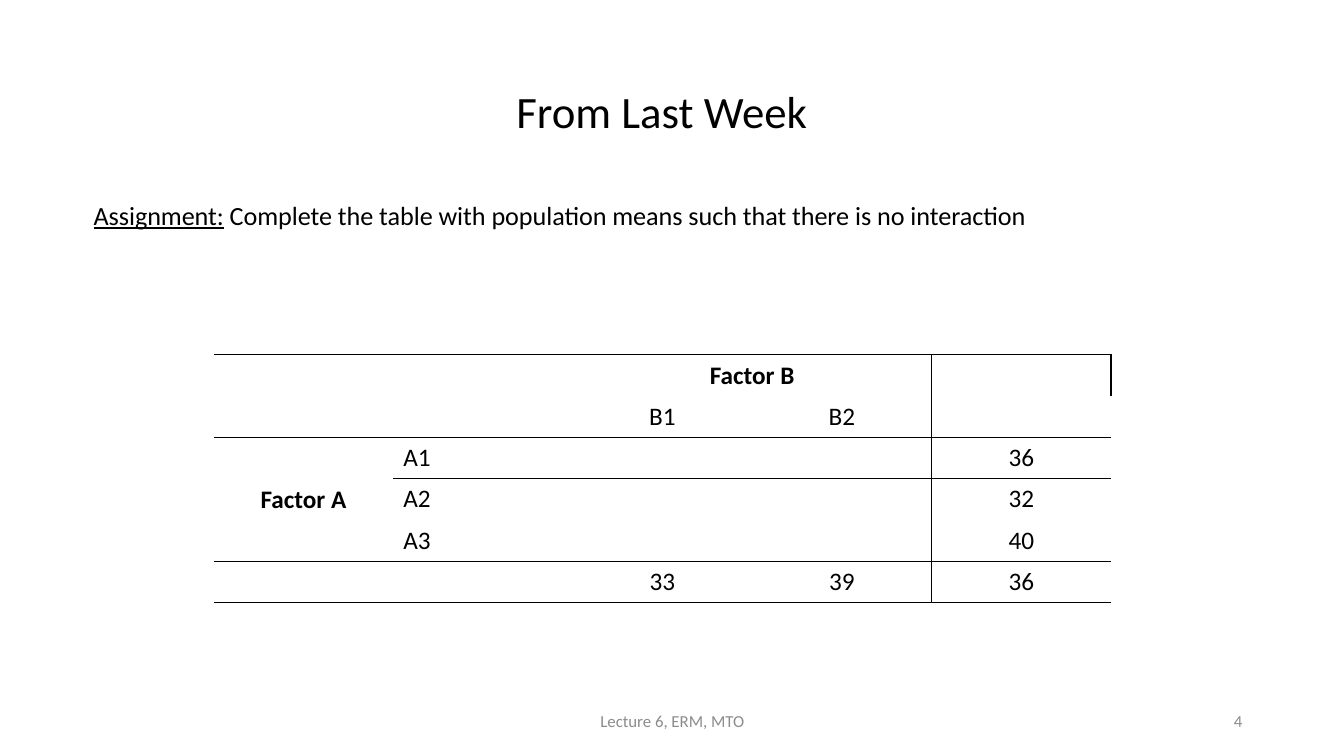
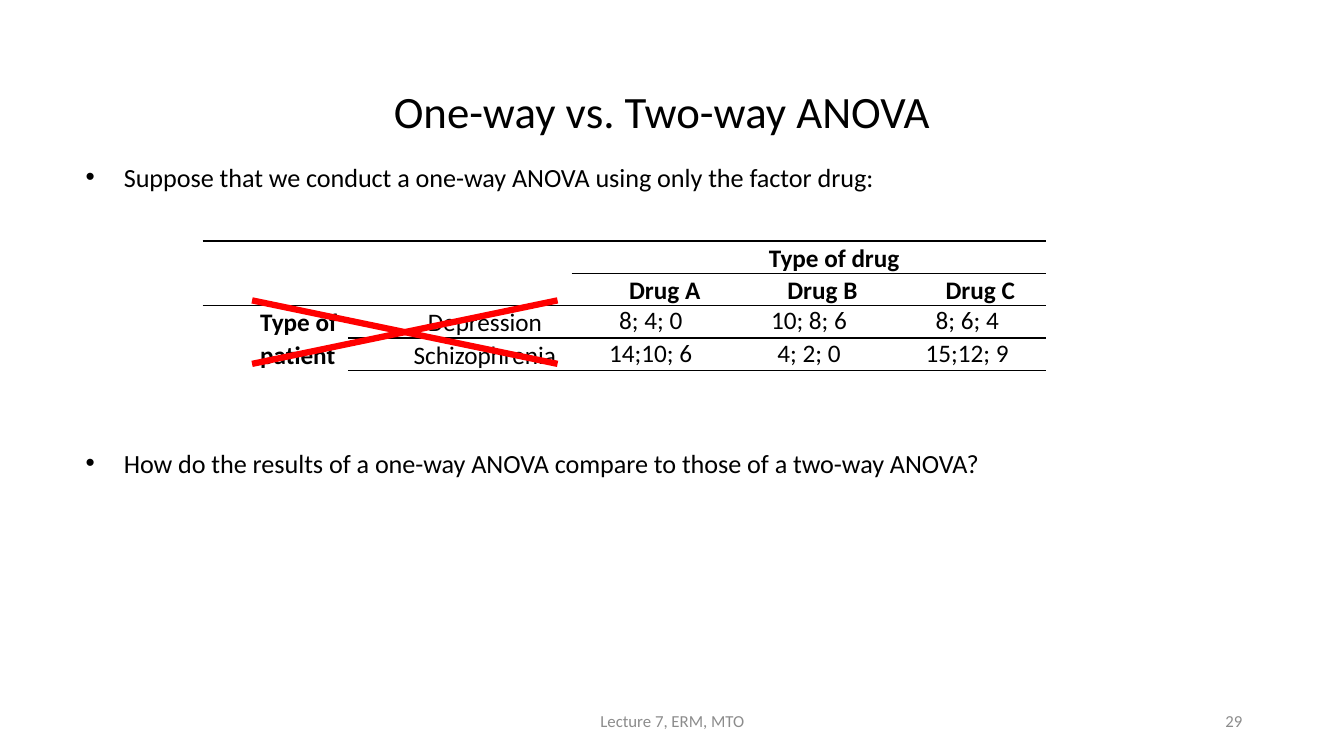
from lxml.etree import SubElement
from pptx import Presentation
from pptx.dml.color import RGBColor
from pptx.enum.shapes import MSO_CONNECTOR
from pptx.enum.text import MSO_ANCHOR, PP_ALIGN
from pptx.oxml.ns import qn
from pptx.util import Inches, Pt


class Theme:
    font = "Calibri"
    ink = RGBColor(0x00, 0x00, 0x00)
    muted = RGBColor(0x8C, 0x8C, 0x8C)
    cross = RGBColor(0xFF, 0x00, 0x00)
    title = Pt(32)
    body = Pt(18.67)
    cell = Pt(18)
    footer = Pt(12)
    rule = Pt(1)
    cross_width = Pt(4.5)
    plain_table = "{2D5ABB26-0587-4C30-8999-92F81FD0307C}"


def add_box(slide, left, top, width, height, anchor=MSO_ANCHOR.TOP):
    sp = slide.shapes.add_textbox(Inches(left), Inches(top), Inches(width), Inches(height))
    tf = sp.text_frame
    tf.word_wrap = True
    tf.vertical_anchor = anchor
    return tf


def add_run(p, text, size, color=Theme.ink, bold=False, underline=False):
    r = p.add_run()
    r.text = text
    r.font.name = Theme.font
    r.font.size = size
    r.font.color.rgb = color
    r.font.bold = bold
    r.font.underline = underline


prs = Presentation()
prs.slide_width = Inches(13.33)
prs.slide_height = Inches(7.5)

for title, footer, number in [
    ("From Last Week", "Lecture 6, ERM, MTO", "4"),
    ("One-way vs. Two-way ANOVA", "Lecture 7, ERM, MTO", "29"),
]:
    s = prs.slides.add_slide(prs.slide_layouts[6])
    for text, place, align, size, color in [
        (title, (0.71, 0.72, 11.71, 0.83), PP_ALIGN.CENTER, Theme.title, Theme.ink),
        (footer, (4.42, 6.95, 4.5, 0.4), PP_ALIGN.CENTER, Theme.footer, Theme.muted),
        (number, (9.42, 6.95, 3, 0.4), PP_ALIGN.RIGHT, Theme.footer, Theme.muted),
    ]:
        p = add_box(s, *place, MSO_ANCHOR.MIDDLE).paragraphs[0]
        p.alignment = align
        if size == Theme.title:
            p.line_spacing = 0.9
        add_run(p, text, size, color)

week_slide, anova_slide = prs.slides

p = add_box(week_slide, 0.83, 1.93, 11, 0.5).paragraphs[0]
add_run(p, "Assignment:", Theme.body, underline=True)
add_run(p, " Complete the table with population means such that there is no interaction", Theme.body)

tf = add_box(anova_slide, 0.75, 1.55, 11.83, 3.3)
for i, (text, gap) in enumerate([
    ("Suppose that we conduct a one-way ANOVA using only the factor drug:", 0),
    ("How do the results of a one-way ANOVA compare to those of a two-way ANOVA?", 182),
]):
    p = tf.add_paragraph() if i else tf.paragraphs[0]
    p.space_before = Pt(gap)
    pPr = p._p.get_or_add_pPr()
    pPr.set("marL", str(Inches(0.38)))
    pPr.set("indent", str(-Inches(0.38)))
    SubElement(pPr, qn("a:buFont"), typeface="Arial")
    SubElement(pPr, qn("a:buChar"), char="•")
    add_run(p, text, Theme.body)

tables = [
    {
        "slide": week_slide, "at": (2.12, 3.52), "cols": [1.78] * 5, "row": 0.41,
        "inset": (0.1, 0.05),
        "cells": [
            ["", "", "Factor B", "", ""],
            ["", "", "B1", "B2", ""],
            ["Factor A", "A1", "", "", "36"],
            ["", "A2", "", "", "32"],
            ["", "A3", "", "", "40"],
            ["", "", "33", "39", "36"],
        ],
        "bold": ["Factor A", "Factor B"],
        "left": ["A1", "A2", "A3"],
        "indented": [],
        "merges": [(0, 2, 0, 3), (2, 0, 4, 0)],
        "rules": {0: 0, 2: 0, 5: 0, 6: 0}, "divider": 4,
    },
    {
        "slide": anova_slide, "at": (2.01, 2.39), "cols": [1.44, 2.22, 1.57, 1.57, 1.57], "row": 0.32,
        "inset": (0.07, 0),
        "cells": [
            ["", "", "Type of drug", "", ""],
            ["", "", "Drug A", "Drug B", "Drug C"],
            ["Type of patient", "Depression", "8; 4; 0", "10; 8; 6", "8; 6; 4"],
            ["", "Schizophrenia", "14;10; 6", "4; 2; 0", "15;12; 9"],
        ],
        "bold": ["Type of drug", "Drug A", "Drug B", "Drug C", "Type of patient"],
        "left": ["Drug A", "Drug B", "Drug C", "Type of patient"],
        "indented": ["Type of drug", "Drug A", "Drug B", "Drug C", "Type of patient",
                     "Depression", "Schizophrenia"],
        "merges": [(0, 2, 0, 4), (2, 0, 3, 0)],
        "rules": {0: 0, 1: 2, 2: 0, 4: 0}, "divider": None,
    },
]

for t in tables:
    rows, cols = len(t["cells"]), len(t["cols"])
    left, top = t["at"]
    frame = t["slide"].shapes.add_table(
        rows, cols, Inches(left), Inches(top), Inches(sum(t["cols"])), Inches(t["row"] * rows))
    table = frame.table
    table.first_row = False
    table.horz_banding = False
    table._tbl.tblPr.find(qn("a:tableStyleId")).text = Theme.plain_table
    for column, width in zip(table.columns, t["cols"]):
        column.width = Inches(width)
    for row in table.rows:
        row.height = Inches(t["row"])
    for r0, c0, r1, c1 in t["merges"]:
        table.cell(r0, c0).merge(table.cell(r1, c1))

    for i, texts in enumerate(t["cells"]):
        for j, text in enumerate(texts):
            cell = table.cell(i, j)
            cell.margin_left = cell.margin_right = Inches(t["inset"][0])
            cell.margin_top = cell.margin_bottom = Inches(t["inset"][1])
            edges = {
                "a:lnL": j == t["divider"],
                "a:lnR": j + 1 == t["divider"],
                "a:lnT": j >= t["rules"].get(i, cols),
                "a:lnB": j >= t["rules"].get(i + 1, cols),
            }
            for tag, ruled in edges.items():
                if ruled:
                    ln = SubElement(cell._tc.get_or_add_tcPr(), qn(tag), w=str(Theme.rule))
                    fill = SubElement(ln, qn("a:solidFill"))
                    SubElement(fill, qn("a:srgbClr"), val=str(Theme.ink))
            cell.fill.background()
            if not text:
                continue
            bold = text in t["bold"]
            cell.vertical_anchor = MSO_ANCHOR.MIDDLE if bold else MSO_ANCHOR.TOP
            p = cell.text_frame.paragraphs[0]
            p.alignment = PP_ALIGN.LEFT if text in t["left"] else PP_ALIGN.CENTER
            if text in t["indented"]:
                p.line_spacing = 1.07
                p._p.get_or_add_pPr().set("marL", str(Inches(0.5)))
            add_run(p, text, Theme.cell, bold=bold)

for start, end in [(2.98, 3.61), (3.61, 2.98)]:
    line = anova_slide.shapes.add_connector(
        MSO_CONNECTOR.STRAIGHT, Inches(5.53), Inches(start), Inches(2.5), Inches(end))
    line.line.color.rgb = Theme.cross
    line.line.width = Theme.cross_width
    SubElement(line._element.spPr, qn("a:effectLst"))

prs.save("out.pptx")
